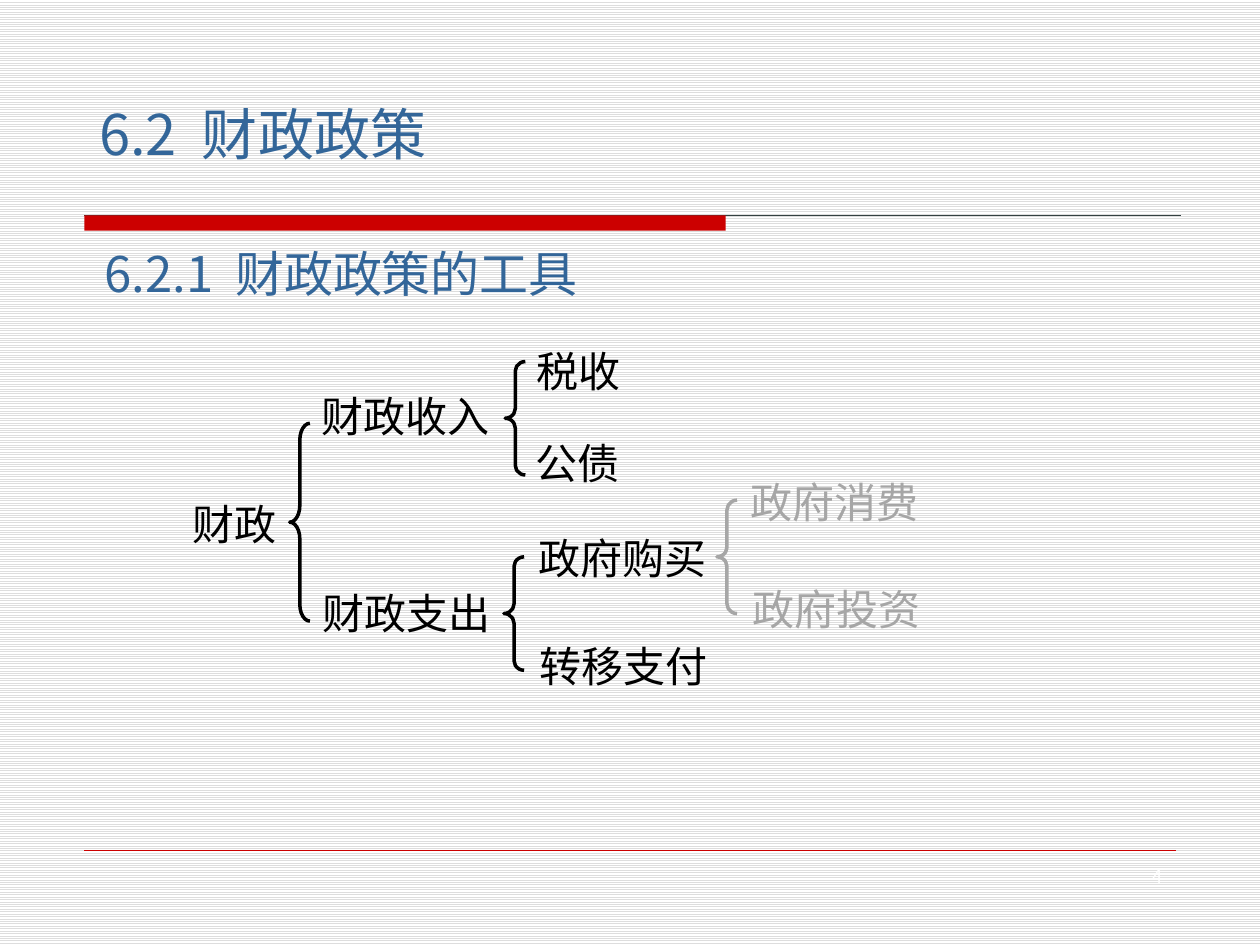
from lxml.etree import SubElement
from pptx import Presentation
from pptx.dml.color import RGBColor
from pptx.enum.dml import MSO_PATTERN
from pptx.enum.shapes import MSO_CONNECTOR, MSO_SHAPE
from pptx.enum.text import MSO_ANCHOR, PP_ALIGN
from pptx.oxml.ns import qn
from pptx.util import Inches, Pt

FONT = "Noto Sans CJK SC"
BLUE = RGBColor(0x33, 0x66, 0x99)
RED = RGBColor(0xCC, 0x00, 0x00)
DARK = RGBColor(0x33, 0x40, 0x40)
BLACK = RGBColor(0x00, 0x00, 0x00)
GREY = RGBColor(0xA6, 0xA6, 0xA6)
STRIPE = RGBColor(0xDD, 0xDD, 0xDD)
WHITE = RGBColor(0xFF, 0xFF, 0xFF)

# Headings: number, name
TITLE = ("6.2", "财政政策")
SUBTITLE = ("6.2.1", "财政政策的工具")
PAGE = "4"

# Tree terms: text, left, top, colour
TERMS = [
    ("财政", 1.53, 3.96, BLACK),
    ("财政收入", 2.55, 3.10, BLACK),
    ("财政支出", 2.56, 4.66, BLACK),
    ("税收", 4.26, 2.74, BLACK),
    ("公债", 4.25, 3.47, BLACK),
    ("政府购买", 4.27, 4.23, BLACK),
    ("转移支付", 4.28, 5.08, BLACK),
    ("政府消费", 5.96, 3.78, GREY),
    ("政府投资", 5.97, 4.63, GREY),
]
# Braces: left, top, height, curl, colour
BRACES = [
    (2.30, 3.36, 1.57, 0.831, BLACK),
    (4.01, 2.87, 0.90, 0.477, BLACK),
    (4.00, 4.42, 0.90, 0.477, BLACK),
    (5.69, 3.97, 0.90, 0.477, GREY),
]
TERM_SIZE, TERM_HEIGHT, BRACE_WIDTH = 24, 0.4, 0.16
RULE_LEFT, RULE_TOP = 0.67, 1.71

prs = Presentation()
prs.slide_width, prs.slide_height = Inches(10), Inches(7.5)
slide = prs.slides.add_slide(prs.slide_layouts[5])
shapes = slide.shapes


def style(box, size, color, align=PP_ALIGN.LEFT):
    frame = box.text_frame
    frame.word_wrap = True
    frame.vertical_anchor = MSO_ANCHOR.TOP
    frame.margin_left = frame.margin_right = 0
    frame.margin_top = frame.margin_bottom = 0
    paragraph = frame.paragraphs[0]
    paragraph.alignment = align
    for run in paragraph.runs:
        run.font.size = Pt(size)
        run.font.name = FONT
        run.font.color.rgb = color
        SubElement(run.font._element, qn("a:ea")).set("typeface", FONT)


def add_text(text, left, top, width, height, size, color, align=PP_ALIGN.LEFT):
    box = shapes.add_textbox(*map(Inches, (left, top, width, height)))
    box.text_frame.text = text
    style(box, size, color, align)


def set_heading(box, heading, size, color, align=PP_ALIGN.LEFT):
    number, name = heading
    paragraph = box.text_frame.paragraphs[0]
    for part in (number, " ", name):
        paragraph.add_run().text = part
    style(box, size, color, align)
    paragraph.line_spacing = 1.2
    # Widen the gap after the number by tracking, in hundredths of a point
    paragraph.runs[1].font._element.set("spc", str(round(size * 22.4)))


def add_rule(left, right, y, color, weight):
    rule = shapes.add_connector(
        MSO_CONNECTOR.STRAIGHT, Inches(left), Inches(y), Inches(right), Inches(y))
    rule.line.color.rgb = color
    rule.line.width = Pt(weight)
    SubElement(rule._element.spPr, qn("a:effectLst"))


# Striped background
background = slide.background.fill
background.patterned()
background.pattern = MSO_PATTERN.LIGHT_HORIZONTAL
background.fore_color.rgb = STRIPE
background.back_color.rgb = WHITE

# Heading bar and rules
add_rule(RULE_LEFT, 9.37, RULE_TOP, DARK, 0.75)
bar = shapes.add_shape(
    MSO_SHAPE.RECTANGLE, *map(Inches, (RULE_LEFT, RULE_TOP, 5.09, 0.12)))
bar.shadow.inherit = False
bar.fill.solid()
bar.fill.fore_color.rgb = RED
bar.line.fill.background()
add_rule(RULE_LEFT, 9.33, 6.75, RED, 0.25)

# Headings
title = shapes.title
title.left, title.top, title.width, title.height = map(Inches, (0.43, 0.68, 3.31, 0.65))
set_heading(title, TITLE, 32, BLUE, PP_ALIGN.CENTER)
subtitle = shapes.add_textbox(*map(Inches, (0.83, 1.84, 6.11, 0.56)))
set_heading(subtitle, SUBTITLE, 28, BLUE)

# Tree of fiscal tools
for term, left, top, color in TERMS:
    width = len(term) * TERM_SIZE / 72 + 0.1
    add_text(term, left, top, width, TERM_HEIGHT, TERM_SIZE, color)
for left, top, height, curl, color in BRACES:
    brace = shapes.add_shape(
        MSO_SHAPE.LEFT_BRACE, *map(Inches, (left, top, BRACE_WIDTH, height)))
    brace.shadow.inherit = False
    brace.adjustments[0] = curl
    brace.fill.background()
    brace.line.color.rgb = color
    brace.line.width = Pt(2)

# Page number
add_text(PAGE, 8.73, 6.87, 0.5, 0.22, 10.5, WHITE, PP_ALIGN.RIGHT)

prs.save("out.pptx")
